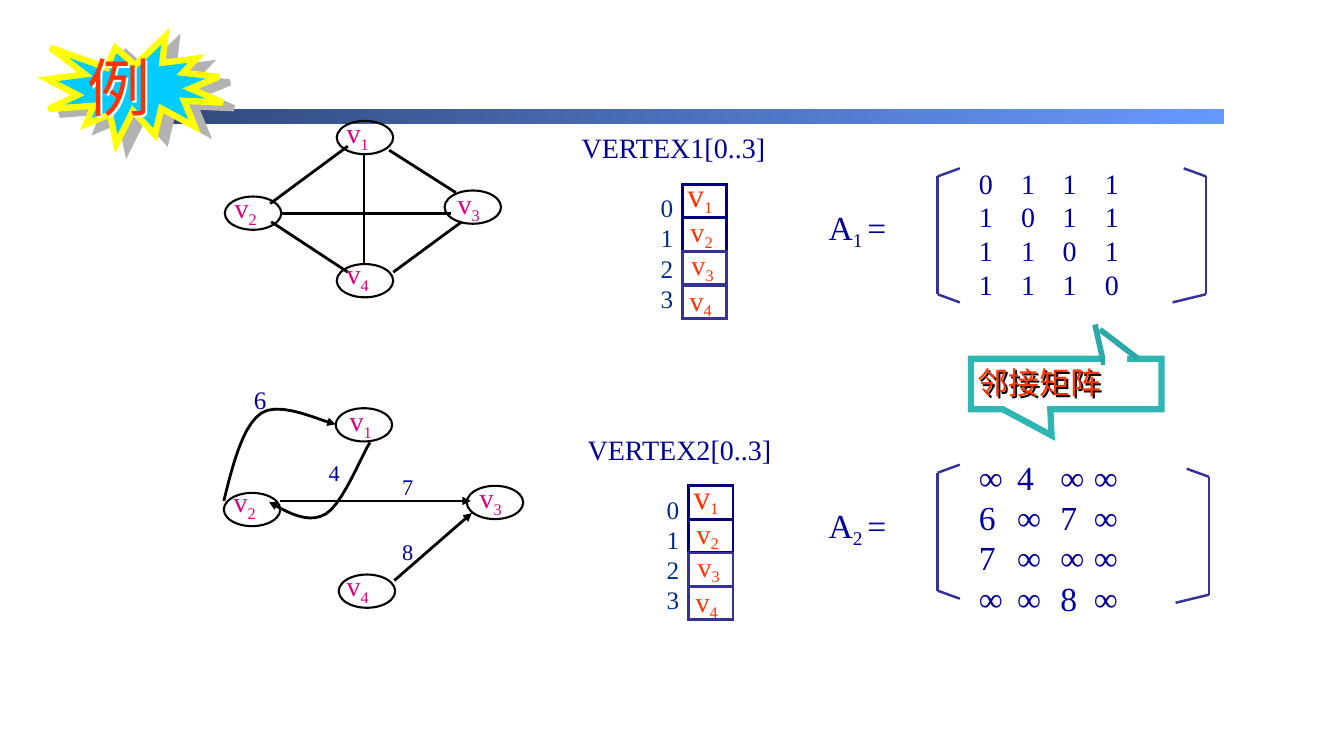
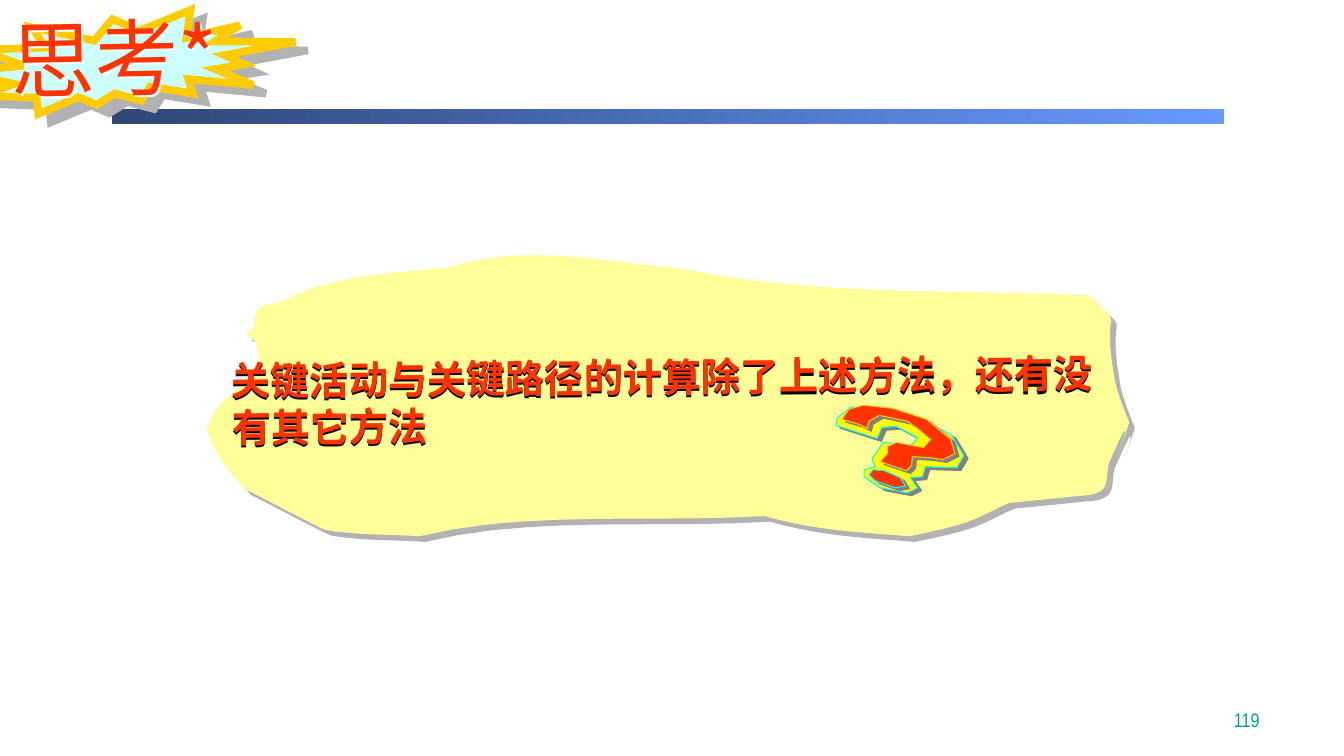
from itertools import pairwise

from lxml.etree import SubElement
from pptx import Presentation
from pptx.dml.color import RGBColor
from pptx.enum.shapes import MSO_CONNECTOR, MSO_SHAPE
from pptx.enum.text import MSO_ANCHOR, MSO_AUTO_SIZE, PP_ALIGN
from pptx.oxml.ns import qn
from pptx.util import Inches, Pt

INK = {
    "dark": "2F4676", "sky": "6699FF", "black": "000000", "white": "FFFFFF",
    "pink": "DC0081", "blue": "000099", "navy": "000080", "indigo": "333399",
    "index": "002C84", "red": "FF3300", "teal": "2DB6B3", "deep": "2AA9A6",
    "aqua": "00CCFF", "cyan": "00FFFF", "pale": "CCFFFF", "yellow": "FFFF00",
    "gold": "FFCC00", "cream": "FFFF99", "gray": "B2B2B2", "ash": "808080",
    "page": "009EA1",
}
SERIF, NARROW = "Times New Roman", "Arial Narrow"
HAN, KANJI = "Noto Sans CJK SC", "Noto Sans CJK JP"


def rgb(name):
    return RGBColor.from_string(INK[name])


def inch(*nums):
    return [Inches(n) for n in nums]


def paint(shape, fill=None, line=None, width=1):
    """Set fill and line; lines get sharp corners."""
    if fill:
        shape.fill.solid()
        shape.fill.fore_color.rgb = rgb(fill)
    else:
        shape.fill.background()
    if line:
        shape.line.color.rgb = rgb(line)
        shape.line.width = Pt(width)
        SubElement(shape._element.spPr.find(qn("a:ln")), qn("a:miter"), lim="800000")
    else:
        shape.line.fill.background()
    shape.shadow.inherit = False


def shade(shape, color, dist, angle):
    """Give the shape a hard shadow: distance in points, angle in degrees."""
    shape.shadow.inherit = False
    effect = shape._element.spPr.find(qn("a:effectLst"))
    outer = SubElement(effect, qn("a:outerShdw"), blurRad="0", dist=str(Pt(dist)),
                       dir=str(angle * 60000), algn="ctr", rotWithShape="0")
    SubElement(outer, qn("a:srgbClr"), val=INK[color])


def tip(shape, end):
    """Put an arrowhead on the line; end is headEnd or tailEnd."""
    SubElement(shape._element.spPr.find(qn("a:ln")), qn("a:" + end), type="triangle")


def draw(slide, kind, box, **look):
    shape = slide.shapes.add_shape(kind, *inch(*box))
    paint(shape, **look)
    return shape


def link(slide, start, end, color="black", width=2, arrow=False):
    line = slide.shapes.add_connector(MSO_CONNECTOR.STRAIGHT, *inch(*start, *end))
    line.line.color.rgb = rgb(color)
    line.line.width = Pt(width)
    if arrow:
        tip(line, "tailEnd")
    SubElement(line._element.spPr, qn("a:effectLst"))


def bend(knots, steps=10):
    """Sample cubic curves given as point, control, control, point, ..."""
    dots = [knots[0]]
    for i in range(0, len(knots) - 1, 3):
        for n in range(1, steps + 1):
            t = n / steps
            parts = ((1 - t) ** 3, 3 * t * (1 - t) ** 2, 3 * t * t * (1 - t), t ** 3)
            dots.append(tuple(sum(w * p[axis] for w, p in zip(parts, knots[i:i + 4]))
                              for axis in (0, 1)))
    return dots


def trace(slide, dots, close=True, **look):
    pen = slide.shapes.build_freeform(*inch(*dots[0]))
    pen.add_line_segments([inch(*dot) for dot in dots[1:]], close=close)
    shape = pen.convert_to_shape()
    paint(shape, **look)
    return shape


def write(frame, lines, size, color, font=SERIF, han=HAN, bold=False, base=-25,
          sub=None, align=PP_ALIGN.LEFT, anchor=MSO_ANCHOR.TOP, wrap=False, tabs=()):
    """Fill the frame; an underscore in a line switches subscript on and off."""
    form = {"word_wrap": wrap, "vertical_anchor": anchor,
            "auto_size": MSO_AUTO_SIZE.SHAPE_TO_FIT_TEXT}
    for key, value in form.items():
        setattr(frame, key, value)
    for row, line in enumerate(lines):
        para = frame.add_paragraph() if row else frame.paragraphs[0]
        para.alignment = align
        if tabs:
            stops = SubElement(para._p.get_or_add_pPr(), qn("a:tabLst"))
            for tab in tabs:
                SubElement(stops, qn("a:tab"), pos=str(Inches(tab)), algn="l")
        for i, part in enumerate(line.split("_")):
            run = para.add_run()
            run.text = part
            low = i % 2 == 1
            look = {"name": font, "size": Pt(sub if low and sub else size), "bold": bold}
            for key, value in look.items():
                setattr(run.font, key, value)
            run.font.color.rgb = rgb(color)
            props = run._r.get_or_add_rPr()
            SubElement(props, qn("a:ea"), typeface=han)
            if low:
                props.set("baseline", str(base * 1000))


def text(slide, box, lines, size, color, **look):
    shape = slide.shapes.add_textbox(*inch(*box))
    write(shape.text_frame, lines, size, color, **look)
    return shape


def head(slide, words, box, size, turn=0, **look):
    """Format the title and lift it above the burst behind it."""
    title = slide.shapes.title
    title.left, title.top, title.width, title.height = inch(*box)
    title.rotation = turn
    write(title.text_frame, [words], size, "red", wrap=True, **look)
    shade(title, "white", 2, 45)
    slide.shapes.element.append(title.element)


def band(slide, layout):
    """Draw the gradient band and hand it to the layout."""
    bar = draw(slide, MSO_SHAPE.RECTANGLE, (1.11, 1.08, 11.03, 0.15))
    bar.fill.gradient()
    bar.fill.gradient_angle = 0
    for stop, color in zip(bar.fill.gradient_stops, ("dark", "sky")):
        stop.color.rgb = rgb(color)
    layout.shapes.element.append(bar.element)


def burst(slide, kind, box, fill, line, width, dist, angle):
    shade(draw(slide, kind, box, fill=fill, line=line, width=width), "gray", dist, angle)


def graph(slide, nodes, edges, arrow=False):
    """Nodes hold the ellipse corner, then the label corner."""
    for x, y, _, _ in nodes:
        draw(slide, MSO_SHAPE.OVAL, (x, y, 0.56, 0.33), line="black", width=1.5)
    for start, end in edges:
        link(slide, start, end, arrow=arrow)
    for i, (_, _, x, y) in enumerate(nodes, 1):
        text(slide, (x, y, 0.44, 0.44), [f"v_{i}"], 20, "pink")


def array(slide, name, x, y):
    side = 0.33
    for i in range(4):
        draw(slide, MSO_SHAPE.RECTANGLE, (x, y + i * (side + 0.003), 0.44, side),
             line="navy" if i < 2 else "indigo", width=2)
    spots = ((-0.05, -0.15), (-0.02, 0.25), (-0.01, 0.58), (-0.03, 0.93))
    for i, (dx, dy) in enumerate(spots, 1):
        text(slide, (x + dx, y + dy, 0.69, 0.44), [f"v_{i}"], 24 if i == 1 else 20,
             "red", base=-20, sub=20, wrap=True)
    text(slide, (x - 1.1, y - 0.58, 2.04, 0.44), [name], 20, "blue")
    text(slide, (x - 0.32, y + 0.03, 0.33, 1.31), list("0123"), 18, "index",
         align=PP_ALIGN.CENTER)


def bracket(slide, x, y, upper, lower):
    """Upper and lower are the widths of the slanted ends."""
    dots = ((x + upper, y), (x, y + 0.08), (x, y + 1.25), (x + lower, y + 1.33))
    for start, end in pairwise(dots):
        link(slide, start, end, color="indigo", width=1.75)


def matrix(slide, name, y, rows, size, tabs, right):
    """Write a named matrix; right holds the x and y of its right bracket."""
    text(slide, (9.61, y, 1.85, 1.5), ["\t".join(row.split()) for row in rows], size,
         "blue", wrap=True, tabs=tabs)
    bracket(slide, *right, -0.22, -0.33)
    text(slide, (8.12, y + (0.4 if size < 24 else 0.48), 0.8, 0.51), [name], 24,
         "blue", base=-22)


def label(slide):
    box = draw(slide, MSO_SHAPE.RECTANGULAR_CALLOUT, (9.63, 3.56, 1.89, 0.5),
               line="teal", width=4.5)
    box.adjustments[0], box.adjustments[1] = -0.077, 1.021
    for start, end in (((10.91, 3.27), (11.29, 3.56)), ((10.86, 3.22), (10.95, 3.62))):
        link(slide, start, end, color="deep", width=4)
    draw(slide, MSO_SHAPE.RECTANGLE, (10.96, 3.52, 0.22, 0.16), fill="white")
    words = text(slide, (9.6, 3.56, 2.37, 0.47), ["邻接矩阵"], 22, "red", font=HAN, wrap=True)
    shade(words, "black", 2, 45)


def sample(slide):
    graph(slide,
          ((3.34, 1.2, 3.34, 1.1), (2.23, 1.95, 2.23, 1.84),
           (4.41, 1.89, 4.44, 1.8), (3.34, 2.62, 3.34, 2.5)),
          (((2.68, 2.02), (3.45, 1.45)), ((2.79, 2.12), (4.47, 2.12)),
           ((3.61, 1.54), (3.61, 2.62)), ((3.86, 1.49), (4.52, 1.91)),
           ((3.9, 2.7), (4.58, 2.2)), ((2.69, 2.2), (3.45, 2.7))))
    matrix(slide, "A_1 _=", 1.6, ("0 1 1 1", "1 0 1 1", "1 1 0 1", "1 1 1 0"),
           20, (0.42, 0.83, 1.25), (11.96, 1.67))
    bracket(slide, 9.3, 1.67, 0.22, 0.22)

    graph(slide,
          ((3.33, 4.05, 3.37, 3.95), (2.22, 4.89, 2.22, 4.76),
           (4.63, 4.82, 4.66, 4.72), (3.36, 5.7, 3.34, 5.59)),
          (((2.78, 4.97), (4.67, 4.97)), ((3.91, 5.76), (4.68, 5.09))), arrow=True)
    curves = (
        ("tailEnd", ((2.22, 4.97), (2.31, 4.6), (2.41, 4.22), (2.59, 4.1),
                     (2.78, 3.97), (3.21, 4.19), (3.33, 4.21))),
        ("headEnd", ((2.67, 4.98), (2.86, 5.09), (3.06, 5.2), (3.23, 5.1),
                     (3.4, 5), (3.59, 4.51), (3.67, 4.39))),
    )
    for end, knots in curves:
        tip(trace(slide, bend(knots), close=False, line="black", width=2), end)
    for cost, x, y, size in (("6", 2.42, 3.76, 18), ("4", 3.16, 4.51, 16),
                             ("7", 3.89, 4.64, 16), ("8", 3.89, 5.29, 16)):
        text(slide, (x, y, 0.31, 0.37), [cost], size, "blue")
    matrix(slide, "A_2 _=", 4.48, ("∞ 4 ∞ ∞", "6 ∞ 7 ∞", "7 ∞ ∞ ∞", "∞ ∞ 8 ∞"),
           24, (0.38, 0.81, 1.14), (11.99, 4.65))
    bracket(slide, 9.3, 4.61, 0.22, 0.22)

    label(slide)
    array(slide, "VERTEX1[0..3]", 6.77, 1.83)
    array(slide, "VERTEX2[0..3]", 6.83, 4.82)
    burst(slide, MSO_SHAPE.EXPLOSION1, (0.47, 0.36, 1.74, 1.07), "aqua", "yellow", 4.5, 8.9, 27)
    head(slide, "例", (0.77, 0.43, 1.56, 0.85), 45)


def puzzle(slide):
    text(slide, (9.81, 6.81, 2.78, 0.5), ["119"], 14, "page", font=NARROW,
         align=PP_ALIGN.RIGHT, anchor=MSO_ANCHOR.BOTTOM, wrap=True)
    burst(slide, MSO_SHAPE.EXPLOSION2, (-0.37, 0.1, 3.3, 1.03), "pale", "gold", 5.5, 10.8, 34)
    head(slide, "思考*", (0.01, 0, 3.78, 1.1), 60, turn=358.9, font=KANJI, han=KANJI)
    cloud = (
        (2.51, 3.26), (2.53, 3.19), (2.52, 3.11), (2.57, 3.06), (2.62, 3.01), (2.71, 3.02),
        (2.77, 3), (3.33, 2.72), (3.78, 2.72), (4.42, 2.66), (5.2, 2.41), (5.94, 2.59),
        (6.72, 2.66), (8.05, 2.94), (9.45, 2.87), (10.8, 2.93), (11.2, 3.32), (10.9, 2.94),
        (11.06, 3.79), (11.09, 3.93), (11.2, 4.19), (11.2, 4.19), (10.91, 5.05), (11.39, 3.69),
        (11, 4.59), (10.97, 4.68), (11, 4.8), (10.93, 4.86), (10.85, 4.93), (10.72, 4.91),
        (10.61, 4.93), (10.41, 4.95), (10.21, 4.97), (10.01, 4.99), (9.86, 5.05), (9.72, 5.14),
        (9.56, 5.19), (9.38, 5.25), (9.02, 5.32), (9.02, 5.32), (8.49, 5.28), (8.08, 5.26),
        (7.58, 5.12), (6.46, 5.19), (5.23, 5.06), (4.16, 5.32), (3.85, 5.3), (3.54, 5.31),
        (3.24, 5.26), (3.2, 5.26), (2.52, 4.89), (2.44, 4.86), (2.25, 4.66), (2.14, 4.52),
        (2.05, 4.26), (2.14, 3.97), (2.29, 3.94), (2.51, 3.73), (2.53, 3.66), (2.58, 3.6),
        (2.57, 3.53), (2.52, 3.21), (2.34, 3.41), (2.51, 3.26))
    shade(trace(slide, bend(cloud), fill="cream"), "gray", 5.7, 45)
    words = text(slide, (2.2, 3.45, 9.04, 1.04),
                 ["关键活动与关键路径的计算除了上述方法，还有没有其它方法"],
                 28, "red", font=NARROW, bold=True, wrap=True)
    words.rotation = 359.5
    shade(words, "black", 1.5, 90)
    rim = (
        (8.75, 4.24), (8.89, 4.23), (9.1, 4.34), (9.05, 4.41), (8.76, 4.39), (8.65, 4.55),
        (8.68, 4.63), (8.57, 4.66), (8.57, 4.73), (8.74, 4.84), (9, 4.89), (9.1, 4.84),
        (9.03, 4.74), (9.15, 4.73), (9.18, 4.63), (9.49, 4.64), (9.56, 4.52), (9.44, 4.32),
        (9.1, 4.13), (8.7, 4.04), (8.44, 4.04), (8.31, 4.14), (8.29, 4.22), (8.7, 4.35))
    hook = (
        (8.35, 4.16), (8.52, 4.21), (8.6, 4.25), (8.62, 4.18), (8.72, 4.12), (9, 4.18),
        (9.11, 4.26), (9.23, 4.36), (9.16, 4.44), (8.89, 4.39), (8.8, 4.43), (8.8, 4.5),
        (8.73, 4.58), (8.99, 4.67), (9.04, 4.62), (9.05, 4.53), (9.22, 4.54), (9.35, 4.56),
        (9.47, 4.5), (9.43, 4.36), (9.19, 4.16), (8.85, 4.05), (8.56, 4.02), (8.42, 4.06))
    point = ((8.77, 4.67), (8.66, 4.66), (8.62, 4.71), (8.68, 4.77), (8.88, 4.84),
             (8.98, 4.82), (8.93, 4.74))
    for dots, fill, line in ((rim, "yellow", "cyan"), (hook, "red", "gold"),
                             (point, "red", "cyan")):
        shade(trace(slide, dots, fill=fill, line=line, width=0.75), "ash", 3.6, 34)


def main():
    deck = Presentation()
    deck.slide_width, deck.slide_height = inch(13.33, 7.5)
    layout = deck.slide_layouts[5]
    first, second = (deck.slides.add_slide(layout) for _ in range(2))
    band(first, layout)
    sample(first)
    puzzle(second)
    deck.save("out.pptx")


if __name__ == "__main__":
    main()
